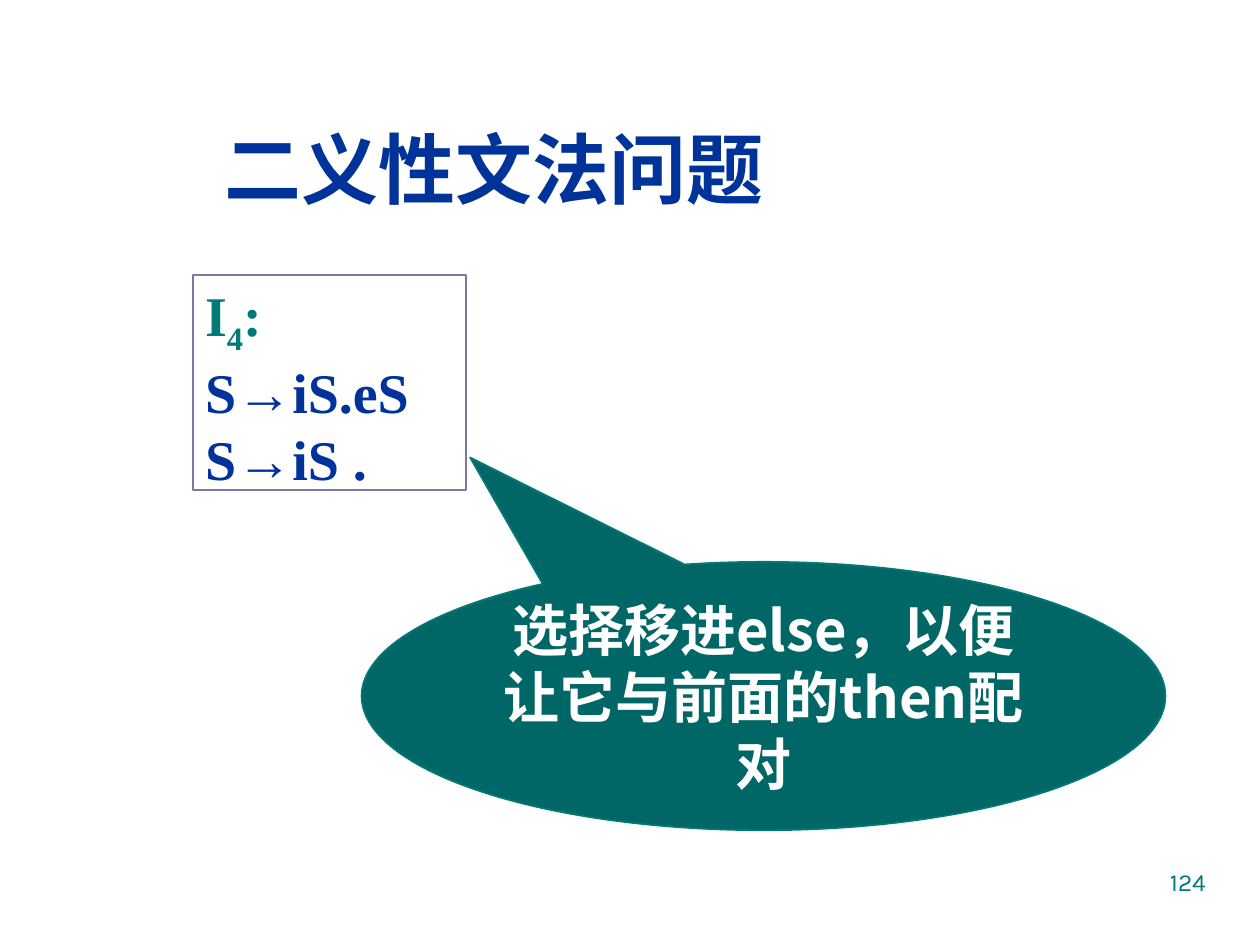
"""Build a slide on the ambiguous grammar problem."""
import pptx
import pptx.dml.color
import pptx.enum.shapes
import pptx.enum.text
import pptx.oxml.ns
import pptx.util
from lxml import etree

RGB = pptx.dml.color.RGBColor
NAVY = RGB(0x00, 0x33, 0x99)
TEAL = RGB(0x00, 0x7A, 0x77)
DEEP = RGB(0x00, 0x66, 0x66)
GREY = RGB(0x79, 0x79, 0xA5)
WHITE = RGB(0xFF, 0xFF, 0xFF)
SERIF, CJK, SANS = "Times New Roman", "Noto Sans CJK JP", "Karla"
WIDE, HIGH = 10, 7.5
ALIGN = pptx.enum.text.PP_ALIGN
ANCHOR = pptx.enum.text.MSO_ANCHOR
SHAPE = pptx.enum.shapes.MSO_SHAPE


def area(left, top, width, height):
    """Turn shares of the slide's size into lengths."""
    shares = (left / WIDE, top / HIGH, width / WIDE, height / HIGH)
    sides = (WIDE, HIGH, WIDE, HIGH)
    return [pptx.util.Inches(share * side) for share, side in zip(shares, sides)]


def write(para, text, size=32, font=SERIF, color=NAVY, bold=True,
          east=None, base=0, align=ALIGN.LEFT):
    """Add a formatted run to a paragraph."""
    para.alignment = align
    run = para.add_run()
    run.text = text
    run.font.size = pptx.util.Pt(size)
    run.font.name = font
    run.font.bold = bold
    run.font.color.rgb = color
    props = run._r.get_or_add_rPr()
    if base:
        props.set("baseline", str(base * 1000))
    if east:
        etree.SubElement(props, pptx.oxml.ns.qn("a:ea"), typeface=east)


def frame(shape, anchor=ANCHOR.TOP):
    """Wrap a shape's text and return its frame."""
    body = shape.text_frame
    body.word_wrap = True
    body.auto_size = pptx.enum.text.MSO_AUTO_SIZE.NONE
    body.vertical_anchor = anchor
    return body


def draw(slide, kind, place, line, fill=None):
    """Add a flat preset shape."""
    shape = slide.shapes.add_shape(kind, *place)
    shape.shadow.inherit = False
    shape.line.color.rgb = line
    shape.line.width = pptx.util.Pt(1)
    if fill is None:
        shape.fill.background()
    else:
        shape.fill.solid()
        shape.fill.fore_color.rgb = fill
    return shape


def head(slide, text):
    """Place and fill the title."""
    title = slide.shapes.title
    title.left, title.top, title.width, title.height = area(1.26, 0.83, 5.32, 1)
    para = frame(title, ANCHOR.MIDDLE).paragraphs[0]
    write(para, text, size=44, east=CJK, align=ALIGN.CENTER)


def state(slide, name, index, rules):
    """Draw an item set with its rules."""
    box = draw(slide, SHAPE.RECTANGLE, area(1.53, 2.18, 2.17, 1.71), GREY)
    body = frame(box)
    para = body.paragraphs[0]
    for text, base in ((name, 0), (index, -25), (":", 0)):
        write(para, text, color=TEAL, base=base)
    for rule in rules:
        write(body.add_paragraph(), rule)


def callout(slide, text):
    """Draw the oval remark that points at the item set."""
    oval = draw(slide, SHAPE.OVAL_CALLOUT, area(2.87, 4.46, 6.38, 2.13), TEAL, DEEP)
    oval.adjustments[0], oval.adjustments[1] = -0.365, -0.889
    para = frame(oval, ANCHOR.MIDDLE).paragraphs[0]
    write(para, text, font=CJK, east=CJK, color=WHITE, align=ALIGN.CENTER)


def number(slide, text):
    """Write the page number."""
    box = slide.shapes.add_textbox(*area(7.17, 6.83, 2.5, 0.52))
    write(frame(box).paragraphs[0], text, size=14, font=SANS, color=TEAL,
          bold=False, align=ALIGN.RIGHT)


def main():
    """Build and save the slide."""
    deck = pptx.Presentation()
    deck.slide_width = pptx.util.Inches(WIDE)
    deck.slide_height = pptx.util.Inches(HIGH)
    slide = deck.slides.add_slide(deck.slide_layouts[5])
    head(slide, "二义性文法问题")
    number(slide, "124")
    state(slide, "I", "4", ("S→iS.eS", "S→iS ."))
    callout(slide, "选择移进else，以便让它与前面的then配对")
    deck.save("out.pptx")


if __name__ == "__main__":
    main()
